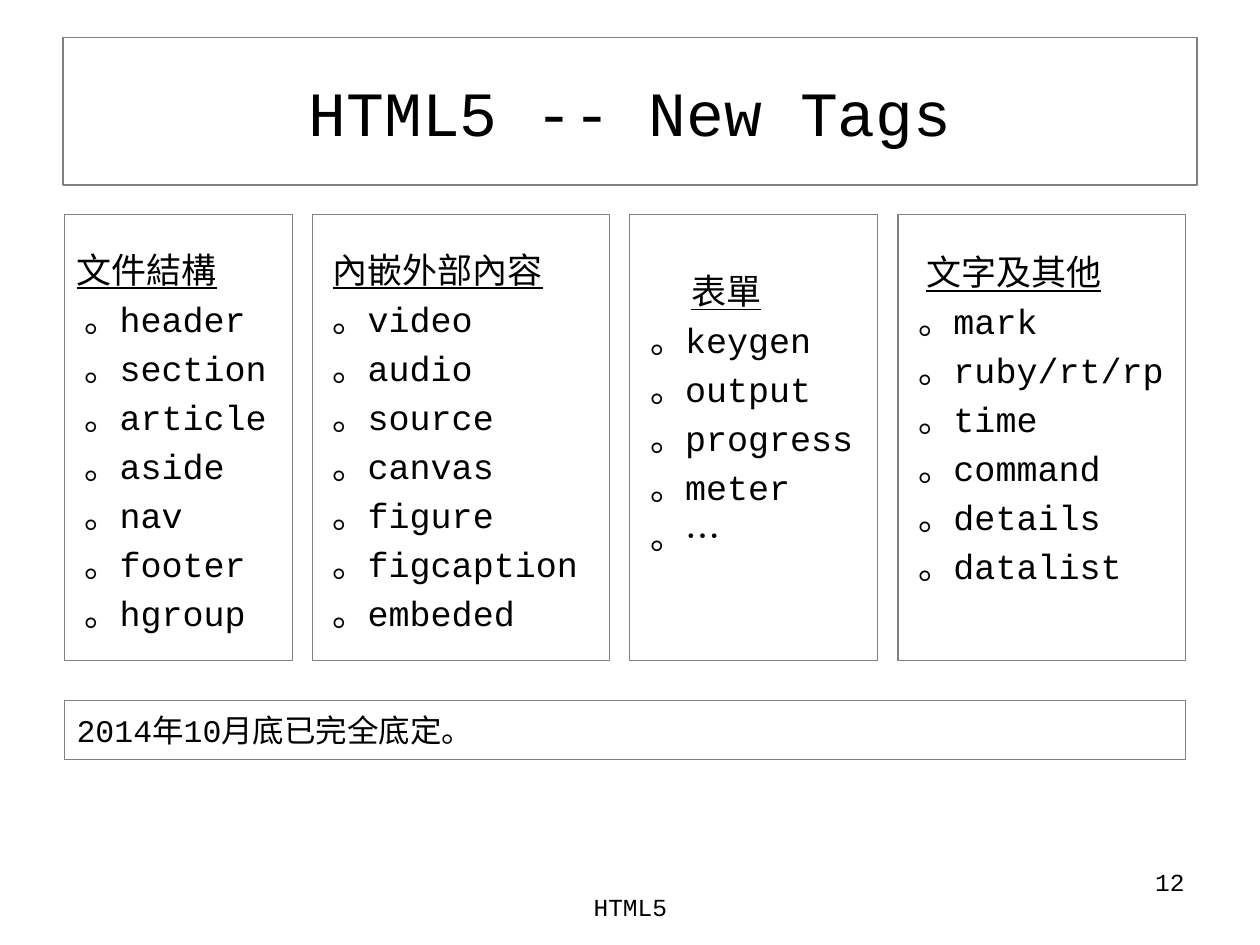
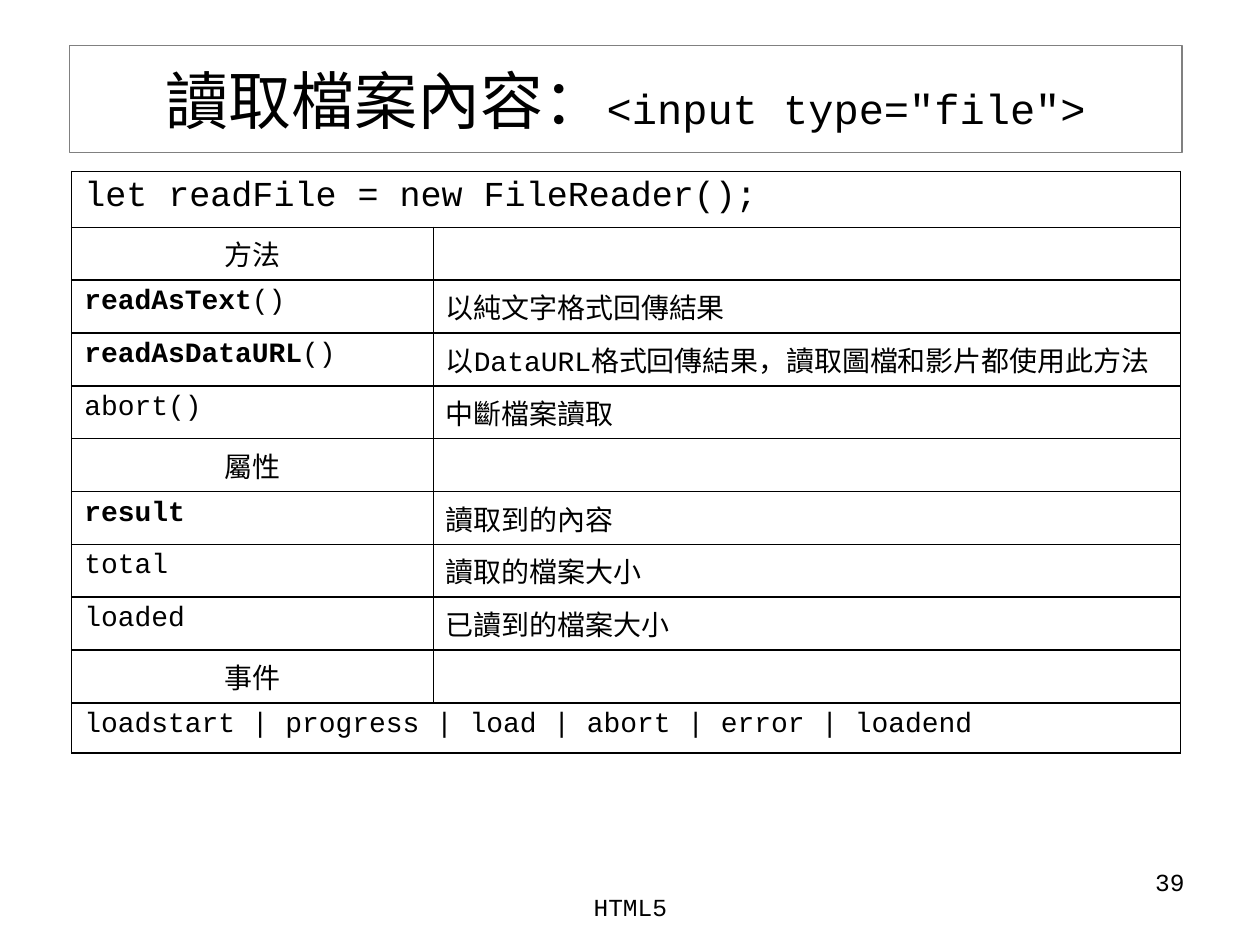
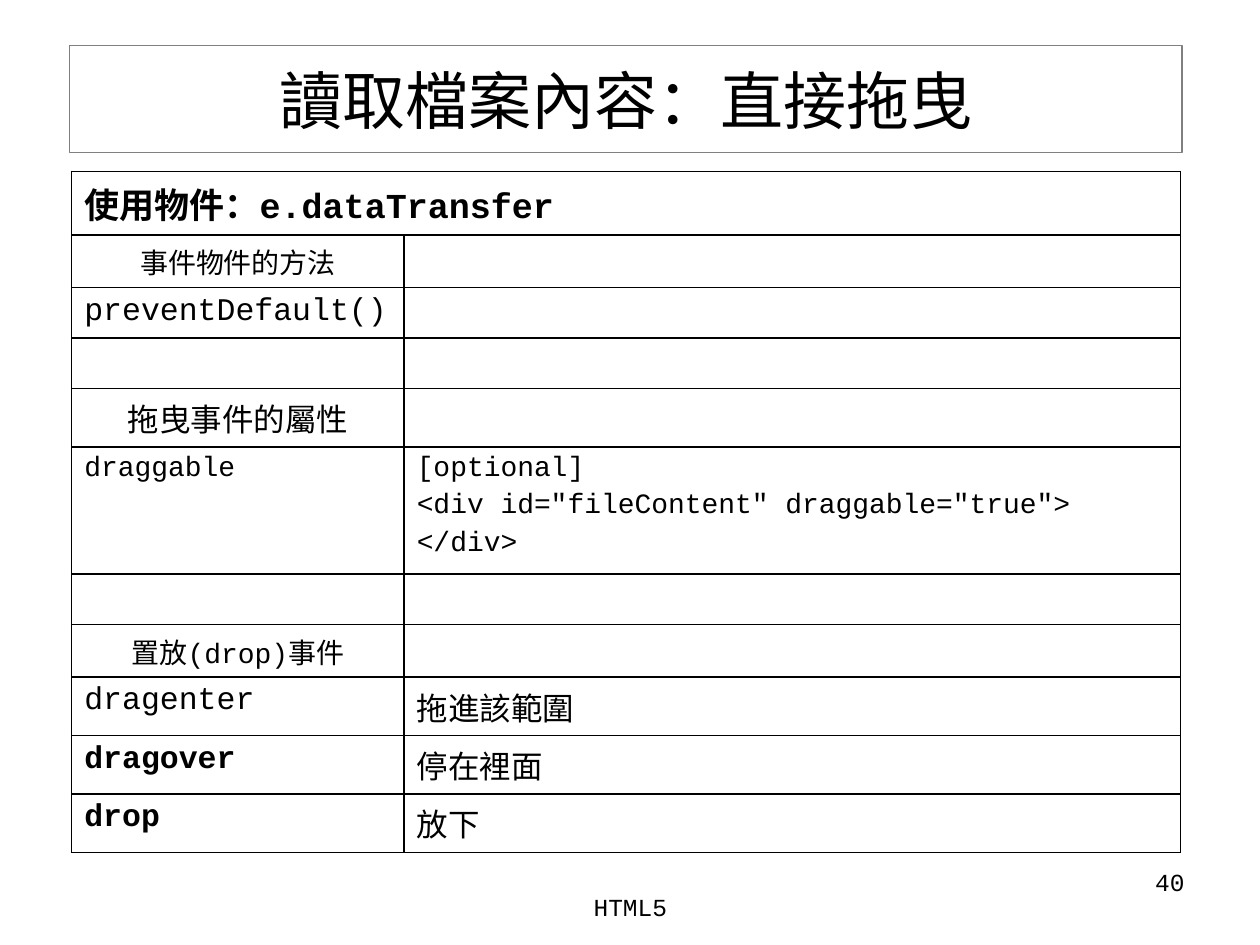
from dataclasses import dataclass

from lxml import etree
from pptx import Presentation
from pptx.dml.color import RGBColor
from pptx.enum import shapes, text
from pptx.oxml.ns import qn
from pptx.util import Pt


@dataclass(frozen=True)
class Theme:
    font: str = "Courier New"
    ink: RGBColor = RGBColor(0, 0, 0)
    frame: RGBColor = RGBColor(0x80, 0x80, 0x80)
    frame_width: float = 0.75
    grid_width: float = 1
    title: float = 36
    subtitle: float = 24
    heading: float = 20
    note: float = 18
    body: float = 16
    footer: float = 14


THEME = Theme()


@dataclass(frozen=True)
class Box:
    left: float
    top: float
    width: float
    height: float

    def lengths(self):
        return [Pt(v) for v in (self.left, self.top, self.width, self.height)]


@dataclass(frozen=True)
class TagList:
    """A column of tags; drop and indent place its heading."""
    heading: str
    tags: tuple
    width: float
    drop: float
    indent: float


@dataclass(frozen=True)
class Row:
    """A table row; strong is the bold start of its left cell."""
    left: str = ""
    right: str = ""
    height: float = 30.2
    size: float = THEME.body
    strong: str = ""
    centred: bool = False
    spanned: bool = False


WIDE_TITLE = Box(36, 21.6, 648, 84.2)
TITLE = Box(39.6, 25.9, 635.8, 61.2)
TAG_AREA = Box(36.7, 122.4, 640.8, 254.9)
NOTE = Box(36.7, 400.3, 640.8, 33.8)
GRID = Box(41, 97.9, 633.6, 333)
PAGE_NUMBER = Box(516.2, 491.8, 167.8, 37.4)
FOOTER = Box(246.2, 506.2, 228.2, 36)
COLUMN_GAP = 11.5
TAG_INDENT = 4.5

TAG_LISTS = [
    TagList("文件結構", ("header", "section", "article", "aside", "nav",
                     "footer", "hgroup"), 130.3, 19.4, 0),
    TagList("內嵌外部內容", ("video", "audio", "source", "canvas", "figure",
                       "figcaption", "embeded"), 169.9, 19.4, 4.5),
    TagList("表單", ("keygen", "output", "progress", "meter", "…"),
            141.8, 31.5, 28),
    TagList("文字及其他", ("mark", "ruby/rt/rp", "time", "command", "details",
                      "datalist"), 164.2, 21, 9),
]

READER_ROWS = [
    Row("let readFile = new FileReader();", height=32, size=THEME.heading,
        spanned=True),
    Row("方法", centred=True),
    Row("readAsText()", "以純文字格式回傳結果", strong="readAsText"),
    Row("readAsDataURL()", "以DataURL格式回傳結果，讀取圖檔和影片都使用此方法",
        strong="readAsDataURL"),
    Row("abort()", "中斷檔案讀取"),
    Row("屬性", centred=True),
    Row("result", "讀取到的內容", strong="result"),
    Row("total", "讀取的檔案大小"),
    Row("loaded", "已讀到的檔案大小"),
    Row("事件", centred=True),
    Row("loadstart | progress | load | abort | error | loadend",
        height=28.8, spanned=True),
]

DRAG_ROWS = [
    Row("使用物件：e.dataTransfer", height=36.3, size=THEME.heading,
        strong="使用物件：e.dataTransfer", spanned=True),
    Row("事件物件的方法", centred=True),
    Row("preventDefault()", height=28.8, size=THEME.note),
    Row(height=28.8),
    Row("拖曳事件的屬性", height=33.4, size=THEME.note, centred=True),
    Row("draggable",
        '[optional]\n<div id="fileContent" draggable="true">\n</div>',
        height=72.6),
    Row(height=28.8),
    Row("置放(drop)事件", centred=True),
    Row("dragenter", "拖進該範圍", height=33.4, size=THEME.note),
    Row("dragover", "停在裡面", height=33.4, size=THEME.note,
        strong="dragover"),
    Row("drop", "放下", height=33.4, size=THEME.note, strong="drop"),
]


def add_span(para, words, size, bold=False, underline=False):
    span = para.add_run()
    span.text = words
    span.font.name = THEME.font
    span.font.size = Pt(size)
    span.font.color.rgb = THEME.ink
    span.font.bold = bold
    span.font.underline = underline


def indent(para, distance):
    para._p.get_or_add_pPr().set("marL", str(Pt(distance)))


def frame(shape):
    shape.line.color.rgb = THEME.frame
    shape.line.width = Pt(THEME.frame_width)


def add_panel(page, box):
    panel = page.shapes.add_shape(shapes.MSO_SHAPE.RECTANGLE, *box.lengths())
    panel.shadow.inherit = False
    panel.fill.background()
    frame(panel)
    panel.text_frame.word_wrap = True
    panel.text_frame.paragraphs[0].alignment = text.PP_ALIGN.LEFT
    return panel.text_frame


def add_label(page, box, words, alignment):
    body = page.shapes.add_textbox(*box.lengths()).text_frame
    body.word_wrap = True
    para = body.paragraphs[0]
    para.alignment = alignment
    add_span(para, words, THEME.footer)


def add_page(deck, number, box, *title_parts):
    """Add a page with its framed title, page number and footer."""
    page = deck.slides.add_slide(deck.slide_layouts[5])
    title = page.shapes.title
    title.left, title.top, title.width, title.height = box.lengths()
    frame(title)
    title.text_frame.auto_size = text.MSO_AUTO_SIZE.NONE
    title.text_frame.vertical_anchor = text.MSO_ANCHOR.MIDDLE
    para = title.text_frame.paragraphs[0]
    para.alignment = text.PP_ALIGN.CENTER
    for words, size in title_parts:
        add_span(para, words, size)
    add_label(page, PAGE_NUMBER, str(number), text.PP_ALIGN.RIGHT)
    add_label(page, FOOTER, "HTML5", text.PP_ALIGN.CENTER)
    return page


def add_tag_list(page, box, tag_list):
    body = add_panel(page, box)
    body.vertical_anchor = text.MSO_ANCHOR.TOP
    body.margin_top = Pt(tag_list.drop)
    body.margin_right = 0
    heading = body.paragraphs[0]
    indent(heading, tag_list.indent)
    add_span(heading, tag_list.heading, THEME.heading, underline=True)
    for tag in tag_list.tags:
        para = body.add_paragraph()
        para.alignment = text.PP_ALIGN.LEFT
        para.space_before = Pt(4)
        indent(para, TAG_INDENT)
        add_span(para, "。" + tag, THEME.heading)
    for para in body.paragraphs:
        para.line_spacing = Pt(24)


def add_tag_lists(page, area):
    left = area.left
    for tag_list in TAG_LISTS:
        box = Box(left, area.top, tag_list.width, area.height)
        add_tag_list(page, box, tag_list)
        left += tag_list.width + COLUMN_GAP


def add_note(page, box, words):
    body = add_panel(page, box)
    body.vertical_anchor = text.MSO_ANCHOR.MIDDLE
    add_span(body.paragraphs[0], words, THEME.note)


def draw_borders(cell):
    properties = cell._tc.get_or_add_tcPr()
    for position, side in enumerate(("lnL", "lnR", "lnT", "lnB")):
        line = etree.Element(qn("a:" + side), w=str(Pt(THEME.grid_width)))
        fill = etree.SubElement(line, qn("a:solidFill"))
        etree.SubElement(fill, qn("a:srgbClr"), val=str(THEME.ink))
        properties.insert(position, line)


def fill_cell(cell, words, row, strong=""):
    body = cell.text_frame
    for position, line in enumerate(words.split("\n")):
        para = body.add_paragraph() if position else body.paragraphs[0]
        if position:
            para.space_before = Pt(3.2)
        if strong:
            add_span(para, strong, row.size, bold=True)
        rest = line[len(strong):]
        if rest:
            add_span(para, rest, row.size)
        if not line:
            end = para._p.get_or_add_endParaRPr()
            end.set("sz", str(int(row.size * 100)))


def add_grid(page, box, first_width, rows):
    holder = page.shapes.add_table(len(rows), 2, *box.lengths())
    table = holder.table
    table.first_row = False
    table.horz_banding = False
    table.columns[0].width = Pt(first_width)
    table.columns[1].width = Pt(box.width - first_width)
    for index, row in enumerate(rows):
        table.rows[index].height = Pt(row.height)
        left, right = table.cell(index, 0), table.cell(index, 1)
        fill_cell(left, row.left, row, row.strong)
        fill_cell(right, row.right, row)
        if row.centred:
            left.text_frame.paragraphs[0].alignment = text.PP_ALIGN.CENTER
        for cell in (left, right):
            cell.fill.background()
            draw_borders(cell)
        if row.spanned:
            left.merge(right)


def main():
    deck = Presentation()
    deck.slide_width, deck.slide_height = Pt(720), Pt(540)

    tags = add_page(deck, 12, WIDE_TITLE, ("HTML5 -- New Tags", THEME.title))
    add_tag_lists(tags, TAG_AREA)
    add_note(tags, NOTE, "2014年10月底已完全底定。")

    reader = add_page(deck, 39, TITLE, ("讀取檔案內容：", THEME.title),
                      ('<input type="file">', THEME.subtitle))
    add_grid(reader, GRID, 206.6, READER_ROWS)

    drag = add_page(deck, 40, TITLE, ("讀取檔案內容：直接拖曳", THEME.title))
    add_grid(drag, GRID, 190, DRAG_ROWS)

    deck.save("out.pptx")


if __name__ == "__main__":
    main()
